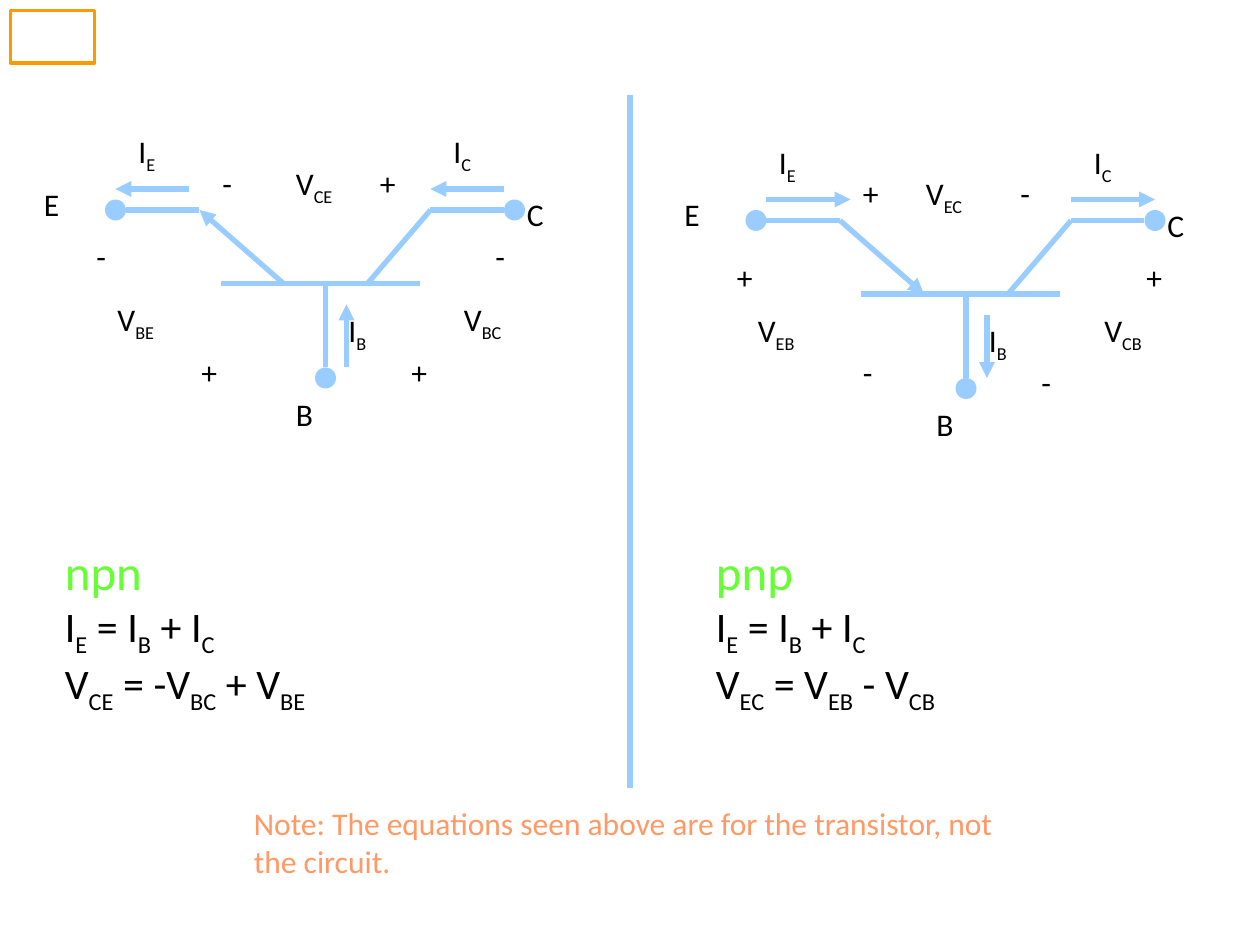
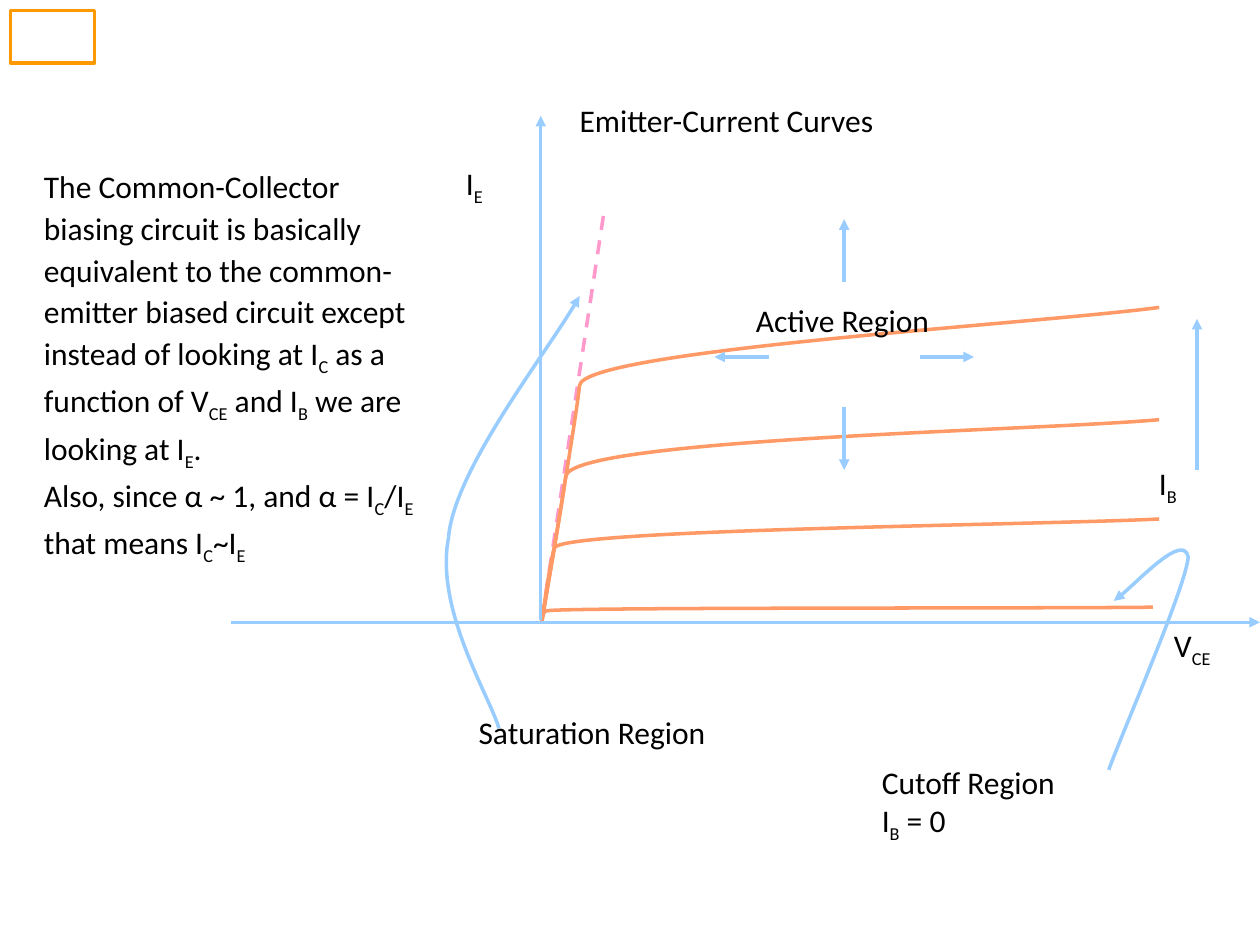
"""Build two slides on transistor polarities and emitter-current curves."""
from lxml import etree
from pptx import Presentation
from pptx.dml.color import RGBColor
from pptx.enum import dml, shapes, text
from pptx.oxml.ns import qn
from pptx.util import Pt

FONT = "Calibri"
BLACK = RGBColor(0x00, 0x00, 0x00)
BLUE = RGBColor(0x99, 0xCC, 0xFF)
GREEN = RGBColor(0x66, 0xFF, 0x33)
ORANGE = RGBColor(0xFF, 0x99, 0x66)
PINK = RGBColor(0xFF, 0x99, 0xCC)
BADGE = RGBColor(0xFF, 0x99, 0x00)

LABEL_W, SIGN_W, LABEL_H, DOT = 48, 30, 31, 12

WIRES = [
    (126, 162, 240, 162), (114, 120, 72, 120), (210, 162, 246, 120),
    (288, 120, 246, 120), (186, 162, 186, 210),
]
TERMINALS = [(180, 210), (288, 114), (60, 114)]
TERMINAL_LABELS = [
    ("B", 162, 222), ("C", 294, 108), ("E", 18, 102),
    ("I|E", 72, 72), ("I|C", 252, 72), ("I|B", 192, 174),
]
TRANSISTORS = [
    {
        "offset": (0, 0),
        "arrows": [(162, 162, 114, 120), (108, 108, 66, 108),
                   (288, 108, 246, 108), (198, 210, 198, 174)],
        "voltages": [("V|BE", 60, 168), ("V|BC", 258, 168), ("V|CE", 162, 90)],
        "signs": [("-", 48, 132), ("+", 108, 198), ("+", 228, 198),
                  ("-", 276, 132), ("+", 210, 90), ("-", 120, 90)],
        "equations_x": 30,
        "equations": ["npn", "I|E| = I|B| + I|C", "V|CE| = -V|BC| + V|BE"],
    },
    {
        "offset": (366, 6),
        "arrows": [(114, 120, 162, 162), (72, 108, 120, 108),
                   (246, 108, 294, 108), (198, 174, 198, 210)],
        "voltages": [("V|EB", 60, 168), ("V|CB", 258, 168), ("V|EC", 156, 90)],
        "signs": [("+", 48, 138), ("-", 120, 192), ("-", 222, 198),
                  ("+", 282, 138), ("-", 210, 90), ("+", 120, 90)],
        "equations_x": 402,
        "equations": ["pnp", "I|E| = I|B| + I|C", "V|EC| = V|EB| - V|CB"],
    },
]
NOTE = "Note: The equations seen above are for the transistor, not the circuit."

CURVES_TITLE = "Emitter-Current Curves"
EXPLANATION = [
    "The Common-Collector biasing circuit is basically equivalent to the "
    "common-emitter biased circuit except instead of looking at I|C| as a "
    "function of V|CE| and I|B| we are looking at I|E|.",
    "Also, since α ~ 1, and α = I|C|/I|E| that means I|C|~I|E",
]
GRAPH_LABELS = [
    (["V|CE"], 663.8, 354.2, 56, 31),
    (["I|E"], 259.2, 90, 56, 31),
    (["Active Region"], 424.8, 168.5, 115, 50),
    (["I|B"], 655.2, 261.4, 56, 31),
    (["Saturation Region"], 266.4, 403.9, 230, 29),
    (["Cutoff Region", "I|B| = 0"], 496.8, 432.7, 173, 50),
]
GRAPH_ARROWS = [
    (525.6, 204, 556.6, 204), (482.4, 161.3, 482.4, 125.3),
    (439.2, 204, 408.2, 204), (482.4, 232.6, 482.4, 268.6),
    (684, 268.6, 684, 182.2),
    (131.8, 355.6, 720, 355.6), (309, 354.2, 309, 66.2),
]
SATURATION_LINE = (309.6, 354.2, 345.6, 118.1)
CURRENT_CURVES = [
    [(309.6, 354.2), (310.3, 352.8), (309.6, 350.6), (311.8, 349.2),
     (314.6, 347), (586, 347.8), (658.8, 347)],
    [(309.6, 354.2), (311, 347), (313.9, 323.3), (316.8, 313.2),
     (319.7, 302.4), (590.4, 300.2), (662.4, 296.6)],
    [(309.6, 355.7), (311.8, 342), (320.4, 293.8), (323.3, 272.2),
     (326.2, 250.6), (591.8, 246.2), (662.4, 239.8)],
    [(309.6, 355.7), (313.2, 333.4), (329, 241.2), (331.2, 220.3),
     (333.4, 200.2), (593.3, 185), (662.4, 175.7)],
]
REGION_POINTERS = [
    [(285.1, 416.2), (280.1, 398.2), (248.4, 348.5), (256.3, 307.4),
     (259.2, 269.3), (315.4, 198), (331.2, 169.2)],
    [(633.6, 439.9), (640.8, 419.8), (678.2, 334.1), (679, 318.2),
     (676.1, 304.6), (645.1, 337.7), (636.5, 343.4)],
]


def style_line(sp, color, width, arrow=False):
    sp.line.color.rgb = color
    sp.line.width = Pt(width)
    if arrow:
        etree.SubElement(sp.line._get_or_add_ln(), qn("a:tailEnd"), type="triangle")


def add_line(s, ends, color=BLUE, width=3, arrow=False):
    line = s.shapes.add_connector(
        shapes.MSO_CONNECTOR.STRAIGHT, *(Pt(v) for v in ends))
    style_line(line, color, width, arrow)
    etree.SubElement(line._element.spPr, qn("a:effectLst"))
    return line


def add_curve(s, points, color, arrow=False):
    """Draw cubic segments: a start, then two controls and an end for each."""
    pts = [(Pt(x), Pt(y)) for x, y in points]
    builder = s.shapes.build_freeform(*pts[0])
    builder.add_line_segments(pts[1:], close=False)
    sp = builder.convert_to_shape()
    outline = sp._element.find(".//" + qn("a:path"))
    steps = outline.findall(qn("a:lnTo"))
    for i in range(0, len(steps), 3):
        bezier = etree.SubElement(outline, qn("a:cubicBezTo"))
        for step in steps[i:i + 3]:
            bezier.append(step[0])
            outline.remove(step)
    sp.fill.background()
    sp.shadow.inherit = False
    style_line(sp, color, 2, arrow)


def write(sp, lines, size=18, color=BLACK, spacing=None):
    """Fill a shape with lines in which bars switch subscript on and off."""
    tf = sp.text_frame
    tf.word_wrap = True
    tf.vertical_anchor = text.MSO_ANCHOR.TOP
    tf.auto_size = text.MSO_AUTO_SIZE.SHAPE_TO_FIT_TEXT
    for i, line in enumerate(lines):
        p = tf.add_paragraph() if i else tf.paragraphs[0]
        p.alignment = text.PP_ALIGN.LEFT
        if spacing:
            p.line_spacing = spacing
        p.font.name, p.font.size = FONT, Pt(size)
        p.font.color.rgb = color
        for j, part in enumerate(line.split("|")):
            if part:
                r = p.add_run()
                r.text = part
                if j % 2:
                    r._r.get_or_add_rPr().set("baseline", "-25000")
    return tf


def add_text(s, lines, x, y, w, h, **style):
    return write(s.shapes.add_textbox(Pt(x), Pt(y), Pt(w), Pt(h)), lines, **style)


def add_slide(prs, layout):
    s = prs.slides.add_slide(prs.slide_layouts[layout])
    badge = s.shapes.add_shape(
        shapes.MSO_SHAPE.RECTANGLE, Pt(6), Pt(6), Pt(48), Pt(30))
    badge.fill.background()
    badge.shadow.inherit = False
    style_line(badge, BADGE, 2)
    return s


def draw_transistor(s, transistor):
    dx, dy = transistor["offset"]
    for group, arrow in ((WIRES, False), (transistor["arrows"], True)):
        for x1, y1, x2, y2 in group:
            add_line(s, (x1 + dx, y1 + dy, x2 + dx, y2 + dy), arrow=arrow)
    for x, y in TERMINALS:
        dot = s.shapes.add_shape(
            shapes.MSO_SHAPE.OVAL, Pt(x + dx), Pt(y + dy), Pt(DOT), Pt(DOT))
        dot.fill.solid()
        dot.fill.fore_color.rgb = BLUE
        dot.line.fill.background()
        dot.shadow.inherit = False
    for group, width in ((TERMINAL_LABELS + transistor["voltages"], LABEL_W),
                         (transistor["signs"], SIGN_W)):
        for label, x, y in group:
            add_text(s, [label], x + dx, y + dy, width, LABEL_H)
    tf = add_text(s, transistor["equations"], transistor["equations_x"],
                  306, 306, 127, size=24)
    heading = tf.paragraphs[0].font
    heading.size = Pt(28)
    heading.color.rgb = GREEN


def build_polarities(prs):
    s = add_slide(prs, 6)
    for transistor in TRANSISTORS:
        draw_transistor(s, transistor)
    add_line(s, (360, 54, 360, 450))
    add_text(s, [NOTE], 138, 456, 444, 55, color=ORANGE)


def build_curves(prs):
    s = add_slide(prs, 5)
    title = s.shapes.title
    title.left, title.top, title.width, title.height = Pt(324), Pt(54), Pt(310), Pt(31)
    write(title, [CURVES_TITLE])
    dashes = add_line(s, SATURATION_LINE, PINK, 2)
    dashes.line.dash_style = dml.MSO_LINE.DASH
    for points in CURRENT_CURVES:
        add_curve(s, points, ORANGE)
    for points in REGION_POINTERS:
        add_curve(s, points, BLUE, arrow=True)
    for ends in GRAPH_ARROWS:
        add_line(s, ends, width=2, arrow=True)
    for lines, *box in GRAPH_LABELS:
        add_text(s, lines, *box)
    add_text(s, EXPLANATION, 18, 90, 228, 362, spacing=1.1)


def main():
    prs = Presentation()
    prs.slide_width, prs.slide_height = Pt(720), Pt(540)
    build_polarities(prs)
    build_curves(prs)
    prs.save("out.pptx")


if __name__ == "__main__":
    main()
